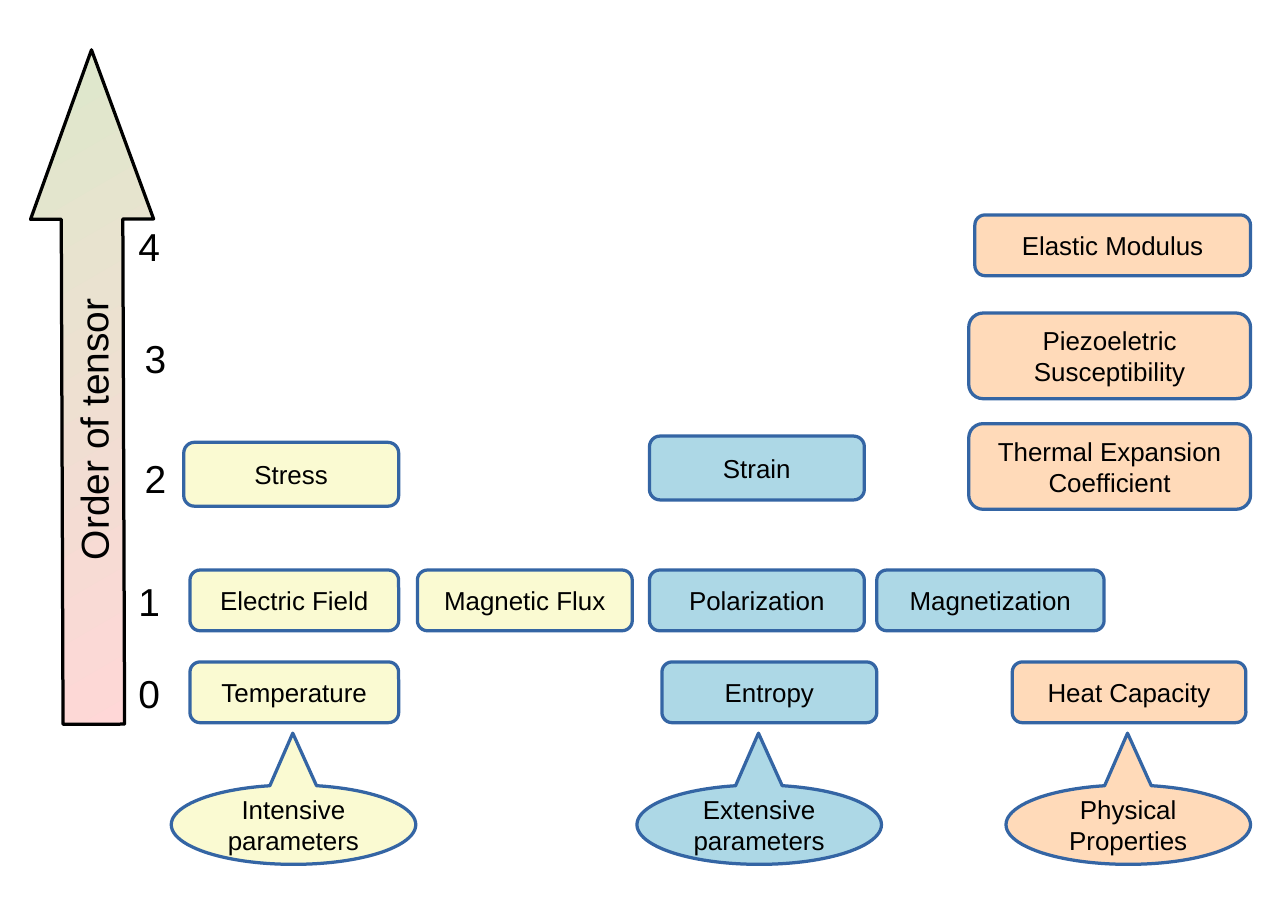
from dataclasses import dataclass

from pptx import Presentation
from pptx.dml.color import RGBColor as RGB
from pptx.enum.shapes import MSO_SHAPE as SHAPE
from pptx.enum.text import MSO_ANCHOR as ANCHOR, MSO_AUTO_SIZE as AUTO, PP_ALIGN as ALIGN
from pptx.util import Inches, Pt


@dataclass(frozen=True)
class Theme:
    font: str = "Arial"
    axis_size: int = 18
    box_size: int = 12
    line_width: float = 1.5
    ink: str = "000000"
    outline: str = "3465A4"
    intensive: str = "FAFAD2"
    extensive: str = "ADD8E6"
    physical: str = "FFDAB9"
    axis_top: str = "DDE8CB"
    axis_bottom: str = "FFD7D7"


T = Theme()
ROW_H = 0.39
CALLOUT_W, CALLOUT_H = 1.57, 0.51


def add_text(tf, lines, size, align):
    for i, line in enumerate(lines):
        p = tf.paragraphs[0] if i == 0 else tf.add_paragraph()
        p.alignment = align
        r = p.add_run()
        r.text = line
        r.font.name = T.font
        r.font.size = Pt(size)
        r.font.color.rgb = RGB.from_string(T.ink)


def add_shape(s, kind, box, lines, size, line, adjustments):
    """Add an outlined shape with centred text; the caller fills it."""
    sp = s.shapes.add_shape(kind, *map(Inches, box))
    sp.shadow.inherit = False
    sp.line.color.rgb = RGB.from_string(line)
    sp.line.width = Pt(T.line_width)
    for i, value in enumerate(adjustments):
        sp.adjustments[i] = value
    tf = sp.text_frame
    tf.word_wrap = True
    tf.vertical_anchor = ANCHOR.MIDDLE
    tf.margin_left = tf.margin_right = Inches(0.11)
    tf.margin_top = tf.margin_bottom = Inches(0.06)
    add_text(tf, lines, size, ALIGN.CENTER)
    return sp


def add_axis(s, x, y, w, h):
    """Draw the upward arrow in the box, with the tensor orders to its right."""
    # The arrow is laid out lying down, then turned about its centre.
    box = (x + (w - h) / 2, y + (h - w) / 2, h, w)
    sp = add_shape(s, SHAPE.RIGHT_ARROW, box, ["Order of tensor"],
                   T.axis_size, T.ink, (0.5, 1.375))
    sp.rotation = 269.8
    sp.fill.gradient()
    sp.fill.gradient_angle = 210
    for stop, color in zip(sp.fill.gradient_stops, (T.axis_top, T.axis_bottom)):
        stop.color.rgb = RGB.from_string(color)

    marks = [(0.59, 3.93), (0.59, 3.34), (0.63, 2.55), (0.63, 1.78), (0.59, 1.06)]
    for order, (dx, dy) in enumerate(marks):
        tb = s.shapes.add_textbox(*map(Inches, (x + dx, y + dy, 0.37, 0.38)))
        tf = tb.text_frame
        tf.word_wrap = True
        tf.auto_size = AUTO.SHAPE_TO_FIT_TEXT
        add_text(tf, [str(order)], T.axis_size, ALIGN.LEFT)


def add_family(s, x, y, fill, quantities, callout_dx, callout):
    """Draw one colour family: its quantity boxes and the callout below them."""
    parts = [(SHAPE.ROUNDED_RECTANGLE, (0.167,), *q) for q in quantities]
    parts.append((SHAPE.OVAL_CALLOUT, (-0.003, -1.153), callout,
                  callout_dx, 3.66, CALLOUT_W, CALLOUT_H))
    for kind, adjustments, lines, dx, dy, w, h in parts:
        sp = add_shape(s, kind, (x + dx, y + dy, w, h), lines,
                       T.box_size, T.outline, adjustments)
        sp.fill.solid()
        sp.fill.fore_color.rgb = RGB.from_string(fill)


# Each quantity: lines, offset from the family's corner, width, height.
INTENSIVE = [
    (["Stress"], 0.08, 1.46, 1.38, 0.41),
    (["Electric Field"], 0.12, 2.28, 1.34, ROW_H),
    (["Magnetic Flux"], 1.58, 2.28, 1.38, ROW_H),
    (["Temperature"], 0.12, 2.87, 1.34, ROW_H),
]
EXTENSIVE = [
    (["Strain"], 0.08, 1.42, 1.38, 0.41),
    (["Polarization"], 0.08, 2.28, 1.38, ROW_H),
    (["Magnetization"], 1.54, 2.28, 1.46, ROW_H),
    (["Entropy"], 0.16, 2.87, 1.38, ROW_H),
]
PHYSICAL = [
    (["Elastic Modulus"], 0.04, 0, 1.77, ROW_H),
    (["Piezoeletric Susceptibility"], 0, 0.63, 1.81, 0.55),
    (["Thermal Expansion", "Coefficient"], 0, 1.34, 1.81, 0.55),
    (["Heat Capacity"], 0.28, 2.87, 1.5, ROW_H),
]


def main():
    prs = Presentation()
    prs.slide_width, prs.slide_height = Inches(8.27), Inches(5.83)
    s = prs.slides.add_slide(prs.slide_layouts[6])
    add_axis(s, 0.2, 0.32, 0.79, 4.33)
    top = 1.38
    add_family(s, 1.1, top, T.intensive, INTENSIVE, 0, ["Intensive parameters"])
    add_family(s, 4.09, top, T.extensive, EXTENSIVE, 0, ["Extensive parameters"])
    add_family(s, 6.22, top, T.physical, PHYSICAL, 0.24, ["Physical", "Properties"])
    prs.save("out.pptx")


if __name__ == "__main__":
    main()
